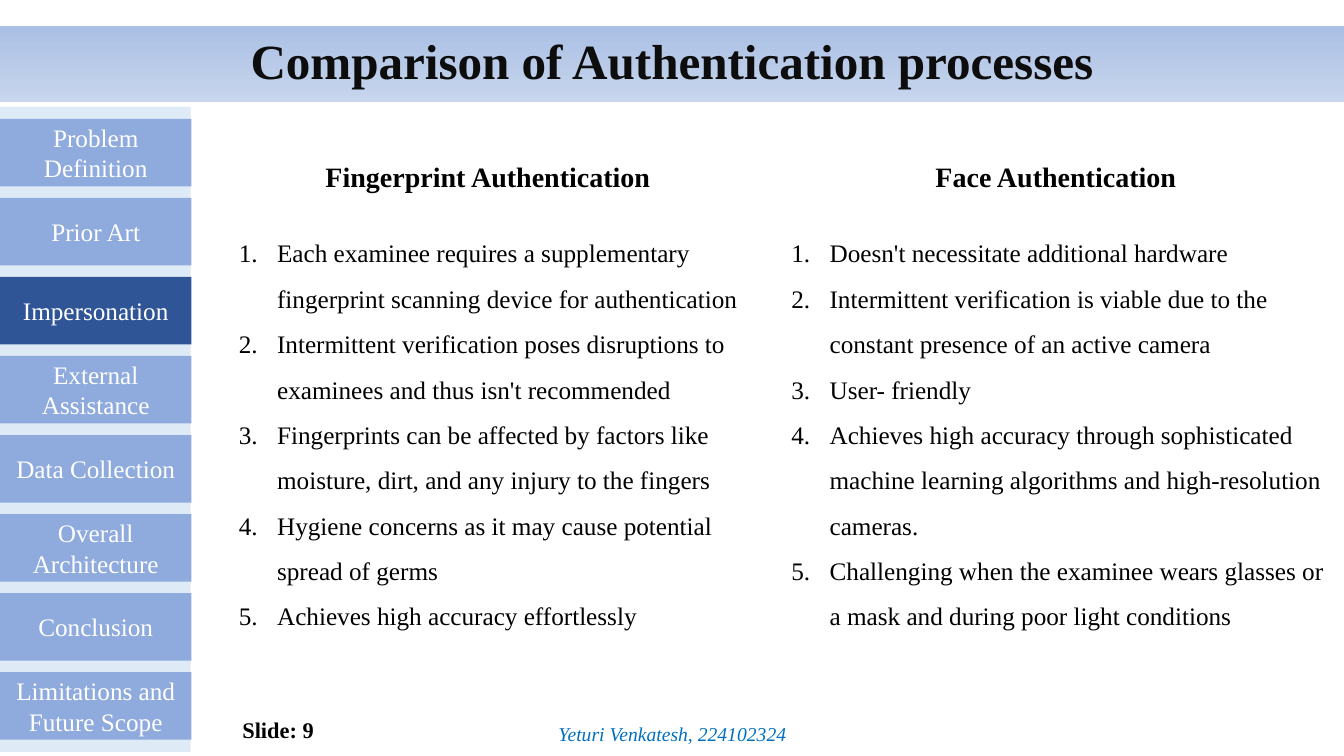
"""Build the slide that compares fingerprint and face authentication."""
from lxml import etree
from pptx import Presentation
from pptx.dml.color import RGBColor
from pptx.enum import shapes, text
from pptx.oxml import ns
from pptx.util import Inches, Pt

LEFT, MID, RIGHT = text.PP_ALIGN.LEFT, text.PP_ALIGN.CENTER, text.PP_ALIGN.RIGHT

deck = Presentation()
deck.slide_width, deck.slide_height = Inches(13.33), Inches(7.5)
slide = deck.slides.add_slide(deck.slide_layouts[6])


def write(shape, lines, size, color="000000", align=LEFT, bold=False,
          italic=False, space=None, listed=False):
    frame = shape.text_frame
    frame.word_wrap = True
    frame.text = "\n".join(lines)
    for par in frame.paragraphs:
        par.alignment = align
        if space:
            par.line_spacing = space
        if listed:
            props = par._p.get_or_add_pPr()
            props.set("marL", str(Inches(0.38)))
            props.set("indent", str(-Inches(0.38)))
            mark = etree.SubElement(props, ns.qn("a:buAutoNum"))
            mark.set("type", "arabicPeriod")
        font = par.font
        font.name, font.size = "Times New Roman", Pt(size)
        font.bold, font.italic = bold, italic
        font.color.rgb = RGBColor.from_string(color)
    return frame


def block(left, top, width, height, fill):
    shape = slide.shapes.add_shape(
        shapes.MSO_SHAPE.RECTANGLE,
        Inches(left), Inches(top), Inches(width), Inches(height))
    shape.shadow.inherit = False
    shape.line.fill.background()
    shape.fill.solid()
    shape.fill.fore_color.rgb = RGBColor.from_string(fill)
    shape.text_frame.vertical_anchor = text.MSO_ANCHOR.MIDDLE
    return shape


columns = [
    (2.27, 3.13, "Fingerprint Authentication", [
        "Each examinee requires a supplementary fingerprint scanning device for authentication",
        "Intermittent verification poses disruptions to examinees and thus isn't recommended",
        "Fingerprints can be affected by factors like moisture, dirt, and any injury to the fingers",
        "Hygiene concerns as it may cause potential spread of germs",
        "Achieves high accuracy effortlessly",
    ]),
    (7.75, 9.18, "Face Authentication", [
        "Doesn't necessitate additional hardware",
        "Intermittent verification is viable due to the constant presence of an active camera",
        "User- friendly",
        "Achieves high accuracy through sophisticated machine learning algorithms"
        " and high-resolution cameras.",
        "Challenging when the examinee wears glasses or a mask and during poor light conditions",
    ]),
]
for left, start, name, points in columns:
    head = slide.shapes.add_textbox(Inches(start), Inches(1.53), Inches(3.54), Inches(0.44))
    write(head, [name], 20, bold=True)
    body = slide.shapes.add_textbox(Inches(left), Inches(2.16), Inches(5.48), Inches(4.14))
    write(body, points, 18, space=1.5, listed=True)

block(0, 1.06, 1.89, 6.4, "DEEBF7")
topics = ["Problem Definition", "Prior Art", "Impersonation", "External Assistance",
          "Data Collection", "Overall Architecture", "Conclusion",
          "Limitations and Future Scope"]
for row, topic in enumerate(topics):
    fill = "2F5597" if topic == "Impersonation" else "8FAADC"
    tab = block(0, 1.18 + row * 0.784, 1.9, 0.67, fill)
    write(tab, [topic], 18, "FFFFFF", MID)

band = block(0, 0.26, 13.33, 0.75, "ABC0E4")
band.fill.gradient()
band.fill.gradient_angle = 270
for stop, (point, color) in zip(band.fill.gradient_stops, [(0, "ABC0E4"), (1, "C7D5ED")]):
    stop.position = point
    stop.color.rgb = RGBColor.from_string(color)
write(band, ["Comparison of Authentication processes"], 35.1, "0D0D0D", MID,
      bold=True, space=0.9)

number = slide.shapes.add_textbox(Inches(2.02), Inches(7.02), Inches(1.19), Inches(0.43))
frame = write(number, ["Slide: 9"], 16, align=RIGHT, bold=True)
frame.vertical_anchor = text.MSO_ANCHOR.MIDDLE

author = slide.shapes.add_textbox(Inches(5.41), Inches(7.11), Inches(2.52), Inches(0.34))
frame = write(author, ["Yeturi Venkatesh, 224102324"], 14, "0070C0", MID, italic=True)
frame.word_wrap = False

deck.save("out.pptx")
